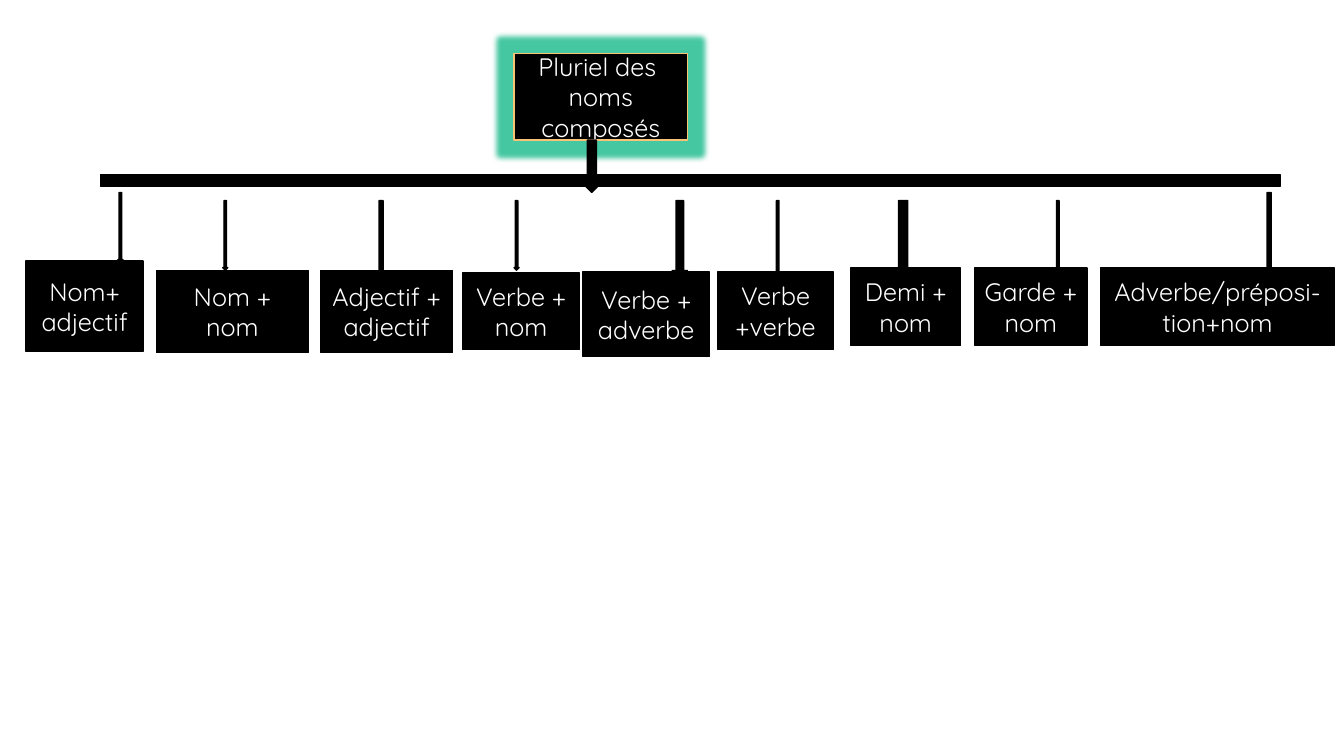
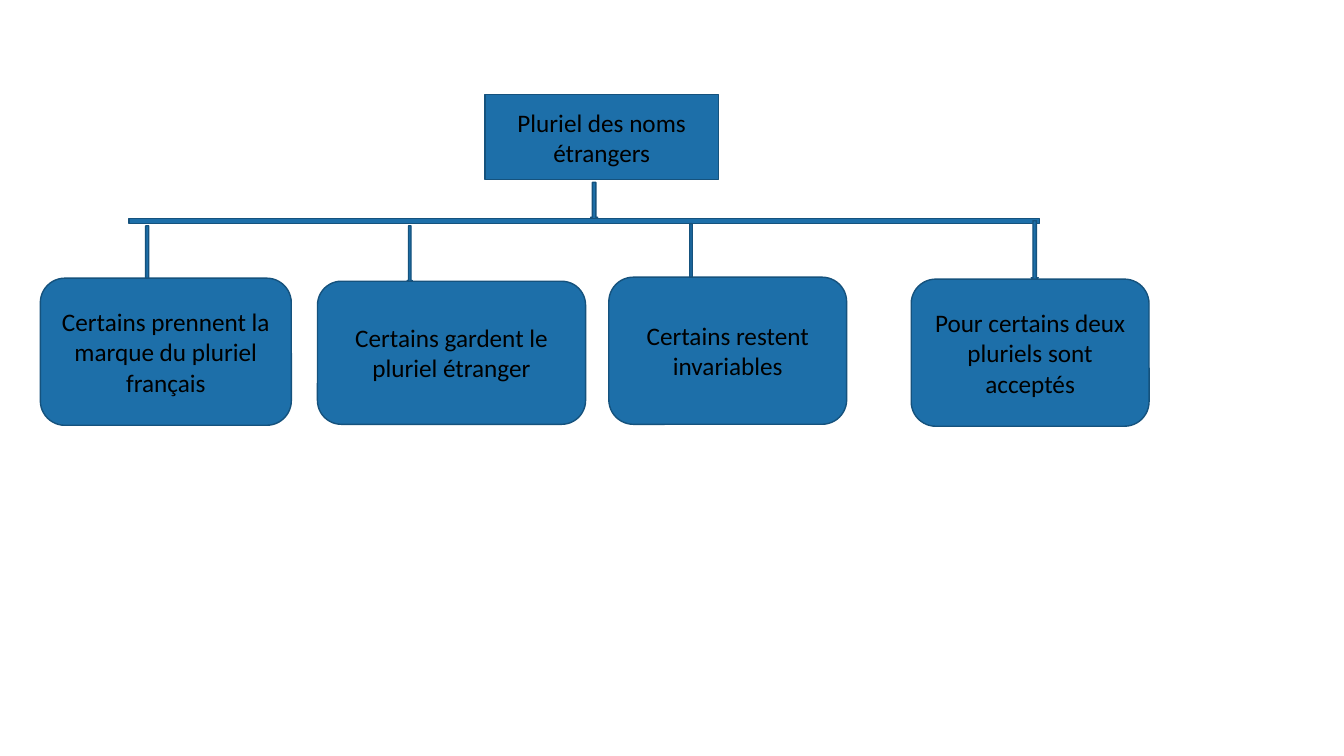
"""Build two tree diagrams on the plural of French compound and foreign nouns."""
from collections import namedtuple

from lxml.etree import SubElement
from pptx import Presentation
from pptx.dml.color import RGBColor
from pptx.enum.shapes import MSO_SHAPE as Shape
from pptx.enum.text import MSO_ANCHOR as Anchor, PP_ALIGN as Align
from pptx.oxml.ns import qn
from pptx.util import Pt

COLORS = {
    "black": "000000",
    "white": "FFFFFF",
    "gold": "F7C475",
    "glow": "46C8A2",
    "blue": "1D6FA9",
    "navy": "15527D",
}

Theme = namedtuple("Theme", "fill line text font leaf")
COMPOUND = Theme("black", "black", "white", "Quicksand", Shape.RECTANGLE)
FOREIGN = Theme("blue", "navy", "black", "Calibri", Shape.ROUNDED_RECTANGLE)

COMPOUND_ARROWS = [
    (84.2, 137.5, 3.6, 49.7),
    (159.1, 143.3, 3.6, 49.7),
    (269.3, 143.3, 5.8, 55.4),
    (367.2, 143.3, 3.6, 49.7),
    (480.2, 143.3, 10.8, 55.4),
    (553.7, 143.3, 3.6, 55.4),
    (638.6, 143.3, 13, 55.4),
    (753.8, 143.3, 3.6, 55.4),
    (903.6, 137.5, 5.8, 70.6),
]
COMPOUND_LEAVES = [
    ("Nom+\nadjectif", (18.7, 186.5, 83.5, 64.8)),
    ("Nom + nom", (111.6, 193, 108.7, 59)),
    ("Adjectif + adjectif", (229, 193, 94.3, 59)),
    ("Verbe + nom", (330.5, 195.1, 83.5, 54.7)),
    ("Verbe + adverbe", (416.2, 194.4, 90.7, 60.5)),
    ("Verbe +verbe", (512.6, 194.4, 82.8, 55.4)),
    ("Demi + nom", (607.7, 191.5, 78.5, 55.4)),
    ("Garde + nom", (696.2, 191.5, 80.2, 55.4)),
    ("Adverbe/préposi-tion+nom", (786.2, 191.5, 167, 55.4)),
]
FOREIGN_ARROWS = [
    (103, 161.3, 4.3, 41),
    (290.9, 161.3, 3.6, 41),
    (491.8, 159.8, 3.6, 41),
    (736.6, 157.7, 5, 43.2),
]
FOREIGN_LEAVES = [
    ("Certains prennent la marque du pluriel français", (28.8, 198.7, 179.3, 105.1)),
    ("Certains gardent le pluriel étranger", (226.8, 200.9, 191.5, 102.2)),
    ("Certains restent invariables", (434.9, 198, 169.9, 105.1)),
    ("Pour certains deux pluriels sont acceptés", (650.9, 199.4, 169.9, 105.1)),
]


def color(name):
    """Return the named palette colour."""
    return RGBColor.from_string(COLORS[name])


def add_box(page, theme, kind, frame, text=""):
    """Add a themed shape, with centred text if any."""
    box = page.shapes.add_shape(kind, *map(Pt, frame))
    box.shadow.inherit = False
    box.fill.solid()
    box.fill.fore_color.rgb = color(theme.fill)
    box.line.color.rgb = color(theme.line)
    box.line.width = Pt(1)
    if text:
        box.text_frame.text = text
        box.text_frame.word_wrap = True
        box.text_frame.vertical_anchor = Anchor.MIDDLE
        for para in box.text_frame.paragraphs:
            para.alignment = Align.CENTER
            for span in para.runs:
                span.font.name = theme.font
                span.font.size = Pt(18)
                span.font.color.rgb = color(theme.text)
    return box


def add_glow(box, name, radius):
    """Surround a shape with a coloured glow."""
    effects = box.element.spPr.find(qn("a:effectLst"))
    glow = SubElement(effects, qn("a:glow"), rad=str(Pt(radius)))
    SubElement(glow, qn("a:srgbClr"), val=COLORS[name])


def add_tree(deck, theme, root, stem, bar, arrows, leaves):
    """Add a page with a root box, a bar and its branches; return the root."""
    page = deck.slides.add_slide(deck.slide_layouts[6])
    title, frame = root
    root_box = add_box(page, theme, Shape.RECTANGLE, frame, title)
    add_box(page, theme, Shape.DOWN_ARROW, stem)
    add_box(page, theme, Shape.RECTANGLE, bar)
    for arrow in arrows:
        add_box(page, theme, Shape.DOWN_ARROW, arrow)
    for text, place in leaves:
        add_box(page, theme, theme.leaf, place, text)
    return root_box


def main():
    """Build and save the deck."""
    deck = Presentation()
    deck.slide_width, deck.slide_height = Pt(960), Pt(540)
    root_box = add_tree(
        deck, COMPOUND,
        ("Pluriel des \nnoms composés", (367.2, 38.2, 123.8, 61.9)),
        (416.2, 100.1, 13, 37.4), (72, 124.6, 842.4, 8.6),
        COMPOUND_ARROWS, COMPOUND_LEAVES)
    root_box.line.color.rgb = color("gold")
    add_glow(root_box, "glow", 8)
    add_tree(
        deck, FOREIGN,
        ("Pluriel des noms étrangers", (346.3, 67.7, 167, 60.5)),
        (421.9, 130.3, 5, 27.4), (92.2, 156.2, 650.2, 3.6),
        FOREIGN_ARROWS, FOREIGN_LEAVES)
    deck.save("out.pptx")


if __name__ == "__main__":
    main()
